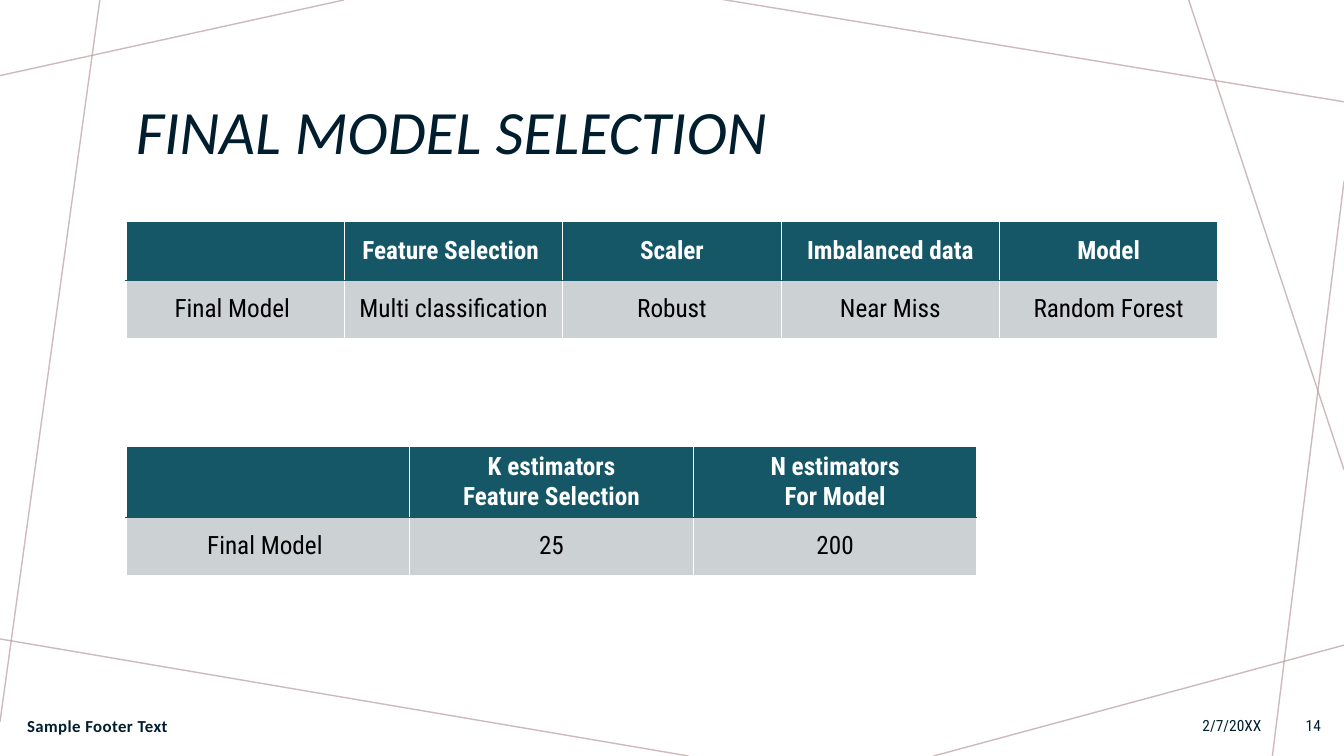
from lxml import etree
from pptx import Presentation
from pptx.dml.color import RGBColor
from pptx.enum.shapes import MSO_CONNECTOR
from pptx.enum.text import MSO_ANCHOR, PP_ALIGN
from pptx.oxml.ns import qn
from pptx.util import Pt

PX = 9144
STRAIGHT = MSO_CONNECTOR.STRAIGHT
MIDDLE = MSO_ANCHOR.MIDDLE
LEFT, CENTER, RIGHT = PP_ALIGN.LEFT, PP_ALIGN.CENTER, PP_ALIGN.RIGHT

NAVY = RGBColor(0x00, 0x1E, 0x2E)
TEAL = RGBColor(0x15, 0x57, 0x67)
GRAY = RGBColor(0xCC, 0xD1, 0xD3)
ROSE = RGBColor(0xBA, 0x9C, 0xA0)
WHITE = RGBColor(0xFF, 0xFF, 0xFF)
BLACK = RGBColor(0x00, 0x00, 0x00)

HEADING_FONT = "Calibri"
BODY_FONT = "Roboto Condensed"

BACKGROUND_LINES = [
    (341, 0, 0, 75),
    (99, 0, 0, 716),
    (683, 750, -5, 633),
    (1333, 640, 926, 750),
    (1333, 180, 1262, 750),
    (1333, 466, 1179, 0),
    (1333, 101, 714, -1),
]
PIPELINE_ROWS = [
    ["", "Feature Selection ", "Scaler", "Imbalanced data", "Model"],
    ["Final Model ", "Multi classification", "Robust", "Near Miss", "Random Forest"],
]
ESTIMATOR_ROWS = [
    ["", "K estimators\nFeature Selection", "N estimators\nFor Model"],
    ["Final Model ", "25", "200"],
]


def px(*lengths):
    return [length * PX for length in lengths]


def style_paragraph(paragraph, font_name, size, color, align, bold=False, italic=False):
    paragraph.alignment = align
    font = paragraph.font
    font.name, font.size, font.bold, font.italic = font_name, Pt(size), bold, italic
    font.color.rgb = color


def add_background_line(slide, ends):
    line = slide.shapes.add_connector(STRAIGHT, *px(*ends))
    line.line.color.rgb = ROSE
    line.line.width = Pt(1)
    color = line._element.spPr.find(".//" + qn("a:srgbClr"))
    etree.SubElement(color, qn("a:alpha"), val="70000")
    etree.SubElement(line._element.spPr, qn("a:effectLst"))


def add_text(slide, box, text, font_name, size, align=LEFT, bold=False, italic=False):
    frame = slide.shapes.add_textbox(*px(*box)).text_frame
    frame.word_wrap = True
    frame.vertical_anchor = MIDDLE
    frame.text = text
    paragraph = frame.paragraphs[0]
    style_paragraph(paragraph, font_name, size, NAVY, align, bold, italic)
    return paragraph


def add_border(cell, side, color, width):
    properties = cell._tc.get_or_add_tcPr()
    border = etree.SubElement(properties, qn("a:ln" + side), w=str(Pt(width)))
    fill = etree.SubElement(border, qn("a:solidFill"))
    etree.SubElement(fill, qn("a:srgbClr"), val=str(color))


def fill_cell(cell, text, is_header):
    white_edge, teal_edge = (WHITE, 1), (TEAL, 0.75)
    top, bottom = (white_edge, teal_edge) if is_header else (teal_edge, white_edge)
    for side, edge in zip("LRTB", (white_edge, white_edge, top, bottom)):
        add_border(cell, side, *edge)
    cell.fill.solid()
    cell.fill.fore_color.rgb = TEAL if is_header else GRAY
    cell.vertical_anchor = MIDDLE
    cell.text = text
    for paragraph in cell.text_frame.paragraphs:
        color = WHITE if is_header else BLACK
        style_paragraph(paragraph, BODY_FONT, 18, color, CENTER, bold=is_header)


def add_model_table(slide, left, top, width, row_heights, rows):
    size = px(left, top, width, sum(row_heights))
    table = slide.shapes.add_table(len(rows), len(rows[0]), *size).table
    table.horz_banding = False
    for row_index, texts in enumerate(rows):
        table.rows[row_index].height = row_heights[row_index] * PX
        for column_index, text in enumerate(texts):
            fill_cell(table.cell(row_index, column_index), text, row_index == 0)


def main():
    presentation = Presentation()
    presentation.slide_width, presentation.slide_height = px(1333, 750)
    slide = presentation.slides.add_slide(presentation.slide_layouts[6])

    for ends in BACKGROUND_LINES:
        add_background_line(slide, ends)

    title = add_text(slide, (125, 58, 1083, 151), "FINAL MODEL SELECTION",
                     HEADING_FONT, 44, italic=True)
    title.line_spacing = 0.9

    add_model_table(slide, 125, 220, 1083, (58, 58), PIPELINE_ROWS)
    add_model_table(slide, 125, 443, 844, (68, 58), ESTIMATOR_ROWS)

    footer = add_text(slide, (17, 700, 492, 40), "Sample Footer Text",
                      HEADING_FONT, 12, bold=True)
    footer.runs[0].font._element.set("spc", "30")
    add_text(slide, (802, 700, 459, 40), "2/7/20XX", BODY_FONT, 11, RIGHT)
    add_text(slide, (1269, 700, 51, 40), "14", BODY_FONT, 11, RIGHT)

    presentation.save("out.pptx")


if __name__ == "__main__":
    main()
